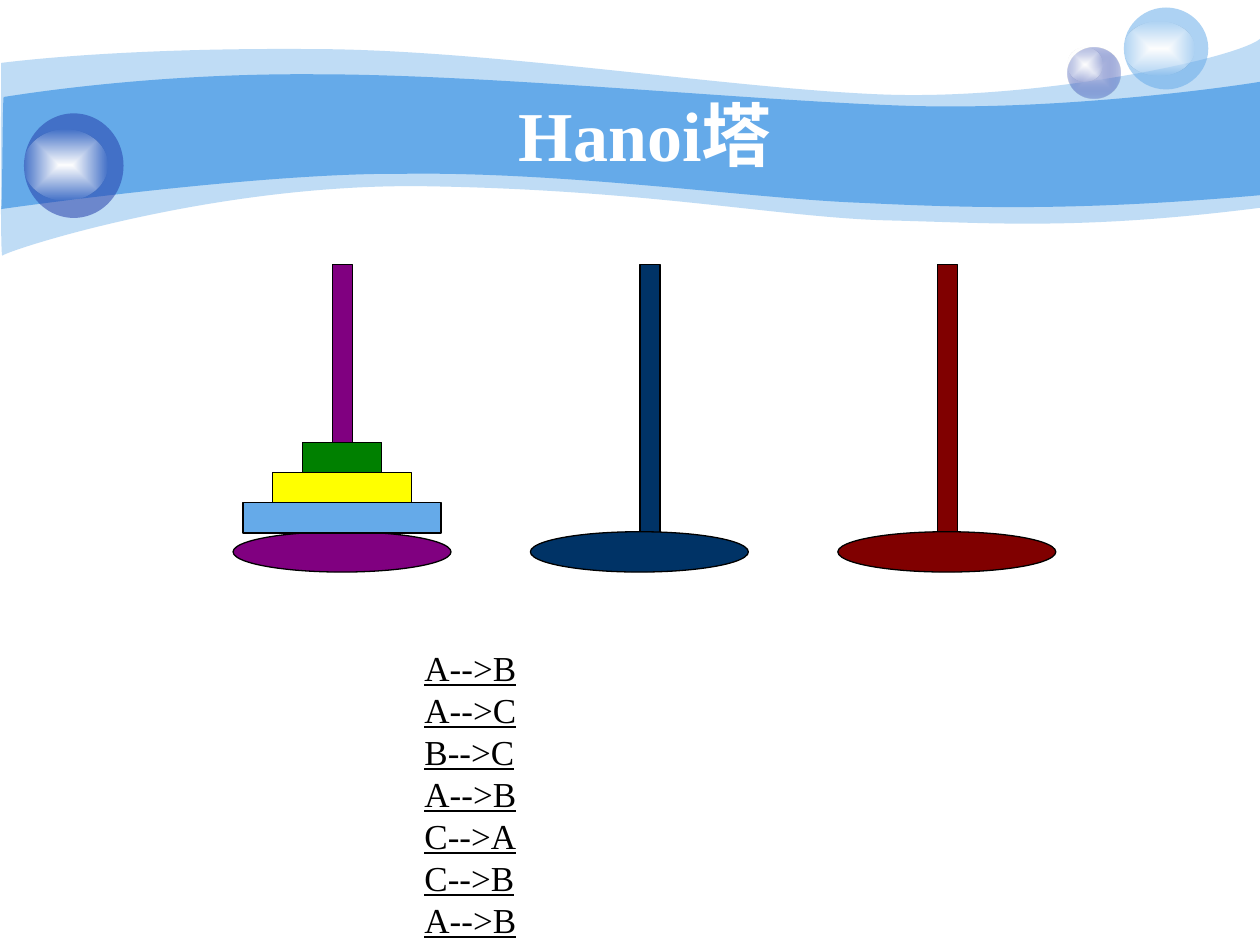
from lxml.etree import SubElement
from pptx import Presentation
from pptx.dml.color import RGBColor
from pptx.enum.shapes import MSO_SHAPE
from pptx.enum.text import MSO_ANCHOR, MSO_AUTO_SIZE, PP_ALIGN
from pptx.oxml import parse_xml
from pptx.oxml.ns import nsdecls, qn
from pptx.util import Inches, Pt

SKY = RGBColor(0x65, 0xAA, 0xE9)
INDIGO = RGBColor(0x23, 0x3D, 0xA9)
LAVENDER = RGBColor(0xC7, 0xCE, 0xE9)
WHITE = RGBColor(0xFF, 0xFF, 0xFF)
BLACK = RGBColor(0, 0, 0)
MAROON = RGBColor(0x80, 0, 0)
NAVY = RGBColor(0, 0x33, 0x66)
PURPLE = RGBColor(0x80, 0, 0x80)
YELLOW = RGBColor(0xFF, 0xFF, 0)
GREEN = RGBColor(0, 0x80, 0)

FONT = "Times New Roman"
MOVES = ["A-->B", "A-->C", "B-->C", "A-->B", "C-->A", "C-->B", "A-->B"]

PALE_TOP = [(0.01, 0.5), (0.25, 0.47), (1.09, 0.38), (2.47, 0.39),
            (3.86, 0.39), (5.76, 0.7), (6.99, 0.75),
            (8.22, 0.8), (9.8, 0.47), (10, 0.31)]
PALE_BOTTOM = [(10, 1.65), (8.58, 1.83), (7.88, 1.77), (7.05, 1.75),
               (6.22, 1.73), (5.16, 1.51), (3.44, 1.48),
               (1.73, 1.44), (0.05, 1.99), (0.02, 2.03),
               (0, 2.08), (0.01, 0.75), (0.01, 0.5)]
BRIGHT_TOP = [(0.03, 0.77), (0.05, 0.77), (1.12, 0.58), (2.5, 0.59),
              (3.88, 0.59), (5.96, 0.8), (7.19, 0.84),
              (8.42, 0.88), (9.76, 0.69), (10, 0.65)]
BRIGHT_BOTTOM = [(10, 1.55), (8.53, 1.68), (7.66, 1.65), (6.83, 1.61),
                 (6, 1.58), (4.48, 1.36), (3.19, 1.38),
                 (2.05, 1.37), (0, 1.66), (0.01, 1.66),
                 (0.02, 1.66), (0.02, 0.77), (0.03, 0.77)]


def paint(shape, color, opacity=100):
    """Give a shape a plain fill of the given opacity, with no outline or shadow."""
    shape.fill.solid()
    shape.fill.fore_color.rgb = color
    if opacity < 100:
        srgb = shape._element.spPr.find(f"{qn('a:solidFill')}/{qn('a:srgbClr')}")
        SubElement(srgb, qn("a:alpha"), val=str(opacity * 1000))
    shape.line.fill.background()
    shape.shadow.inherit = False


def paint_glow(shape, center, edge, edge_opacity):
    """Fill a shape from its centre to a translucent edge."""
    gradient = parse_xml(
        f'<a:gradFill {nsdecls("a")} rotWithShape="1"><a:gsLst>'
        f'<a:gs pos="0"><a:srgbClr val="{center}"/></a:gs>'
        f'<a:gs pos="100000"><a:srgbClr val="{edge}">'
        f'<a:alpha val="{edge_opacity * 1000}"/></a:srgbClr></a:gs></a:gsLst>'
        '<a:path path="shape"><a:fillToRect l="50000" t="50000" r="50000" b="50000"/>'
        '</a:path></a:gradFill>')
    shape._element.spPr.insert(2, gradient)
    shape.line.fill.background()
    shape.shadow.inherit = False


def add_wave(slide, top, bottom, color, opacity=100):
    """Draw a closed band whose upper and lower edges are cubic curves."""
    points = [(Inches(x), Inches(y)) for x, y in top + bottom]
    builder = slide.shapes.build_freeform(*points[0])
    builder.add_line_segments(points[1:], close=True)
    wave = builder.convert_to_shape()
    segments = list(wave._element.iter(qn("a:lnTo")))
    straight = len(top) - 1
    curved = segments[:straight] + segments[straight + 1:]
    for first in range(0, len(curved), 3):
        triple = curved[first:first + 3]
        curve = parse_xml(f'<a:cubicBezTo {nsdecls("a")}/>')
        triple[0].addprevious(curve)
        for segment in triple:
            curve.append(segment[0])
            segment.getparent().remove(segment)
    paint(wave, color, opacity)


def add_oval(shapes, *box):
    """Add an ellipse at left, top, width, height."""
    return shapes.add_shape(MSO_SHAPE.OVAL, *map(Inches, box))


def add_bubble(slide, ball_box, shine_box):
    """Group a ball with its highlight and return the unpainted ball."""
    bubble = slide.shapes.add_group_shape().shapes
    ball = add_oval(bubble, *ball_box)
    paint_glow(add_oval(bubble, *shine_box), WHITE, WHITE, 0)
    return ball


def add_piece(slide, kind, color, *box):
    """Add an outlined part of the puzzle."""
    piece = slide.shapes.add_shape(kind, *map(Inches, box))
    paint(piece, color)
    piece.line.color.rgb = BLACK
    piece.line.width = Pt(0.75)


def add_tower(slide, color, pole_left, base_left):
    """Add a pole and its base."""
    add_piece(slide, MSO_SHAPE.RECTANGLE, color, pole_left, 2.1, 0.16, 2.28)
    add_piece(slide, MSO_SHAPE.OVAL, color, base_left, 4.22, 1.73, 0.32)


def add_text(slide, box, lines, size, color, bold=None, underline=None, align=None):
    """Add a wrapped text box with one paragraph per line and return its frame."""
    frame = slide.shapes.add_textbox(*map(Inches, box)).text_frame
    frame.word_wrap = True
    frame.text = "\n".join(lines)
    for paragraph in frame.paragraphs:
        paragraph.alignment = align
        font = paragraph.font
        font.name, font.size = FONT, Pt(size)
        font.bold, font.underline = bold, underline
        font.color.rgb = color
    return frame


def main():
    """Build the Hanoi tower slide."""
    deck = Presentation()
    deck.slide_width, deck.slide_height = Inches(10), Inches(7.5)
    slide = deck.slides.add_slide(deck.slide_layouts[6])

    add_wave(slide, PALE_TOP, PALE_BOTTOM, SKY, 41)
    add_wave(slide, BRIGHT_TOP, BRIGHT_BOTTOM, SKY)

    small = add_bubble(slide, (8.47, 0.38, 0.42, 0.4), (8.47, 0.38, 0.28, 0.27))
    paint_glow(small, LAVENDER, INDIGO, 31)
    light = add_bubble(slide, (8.92, 0.06, 0.67, 0.65), (8.92, 0.17, 0.56, 0.43))
    paint(light, SKY, 53)
    dark = add_bubble(slide, (0.19, 0.9, 0.79, 0.83), (0.19, 1.03, 0.66, 0.56))
    paint(dark, INDIGO, 53)

    add_tower(slide, MAROON, 7.44, 6.65)
    add_tower(slide, NAVY, 5.08, 4.21)
    add_tower(slide, PURPLE, 2.64, 1.85)

    for color, top, width, height in [(YELLOW, 3.75, 1.1, 0.31),
                                      (GREEN, 3.51, 0.63, 0.24),
                                      (SKY, 3.99, 1.57, 0.24)]:
        add_piece(slide, MSO_SHAPE.RECTANGLE, color, 2.715 - width / 2, top, width, height)

    title = add_text(slide, (1.08, 0.75, 8.08, 0.62), ["Hanoi塔"], 40, WHITE,
                     bold=True, align=PP_ALIGN.CENTER)
    title.vertical_anchor = MSO_ANCHOR.MIDDLE
    moves = add_text(slide, (3.27, 5.08, 2.98, 2.46), MOVES, 20, BLACK, underline=True)
    moves.auto_size = MSO_AUTO_SIZE.SHAPE_TO_FIT_TEXT

    deck.save("out.pptx")


if __name__ == "__main__":
    main()
